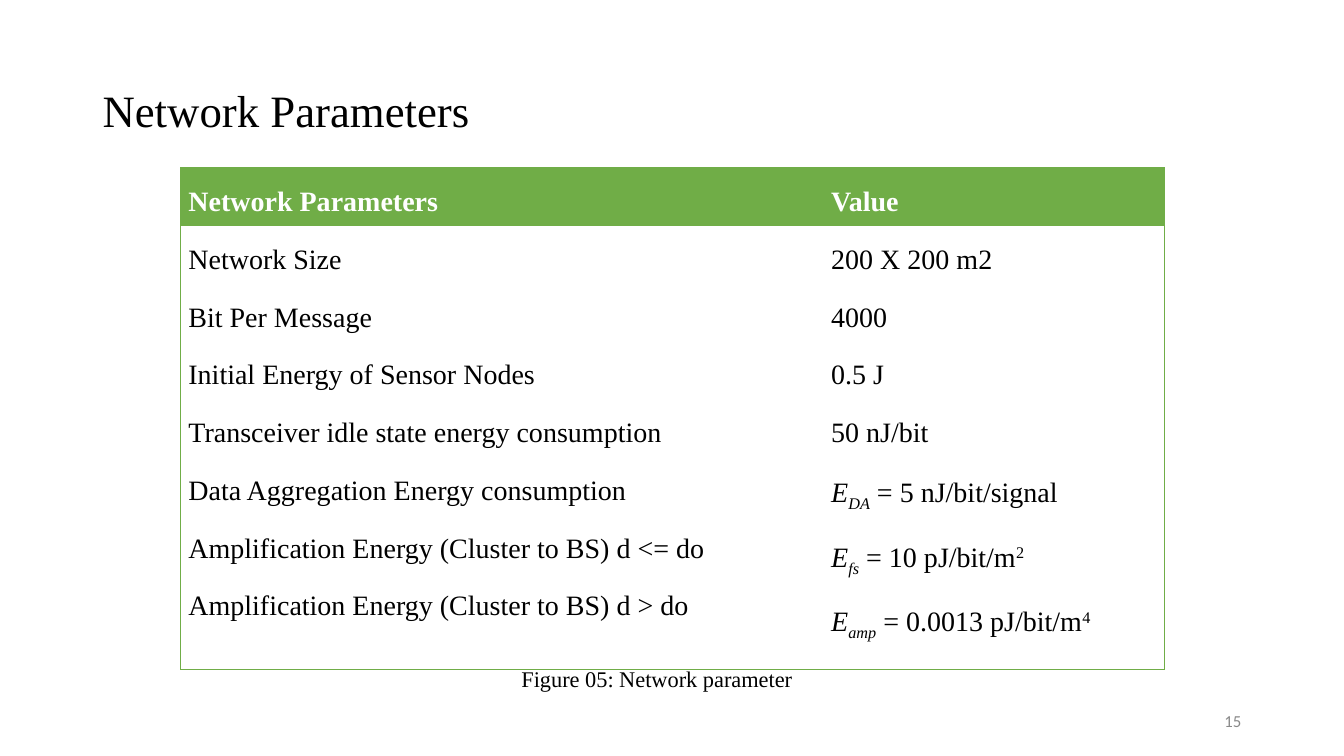
import pptx
import pptx.util
import pptx.dml.color
import pptx.enum.text
import lxml.etree

Inches = pptx.util.Inches
Pt = pptx.util.Pt
Color = pptx.dml.color.RGBColor
Align = pptx.enum.text.PP_ALIGN
Anchor = pptx.enum.text.MSO_ANCHOR

BLACK = Color(0x00, 0x00, 0x00)
WHITE = Color(0xFF, 0xFF, 0xFF)
GREEN = Color(0x70, 0xAD, 0x47)
GRAY = Color(0x89, 0x89, 0x89)
SERIF = "Times New Roman"
SUB, SUPER = -25000, 30000

HEADS = ["Network Parameters", "Value"]
PARAMS = [
    ("Network Size", ["200 X 200 m2"]),
    ("Bit Per Message", ["4000"]),
    ("Initial Energy of Sensor Nodes", ["0.5 J"]),
    ("Transceiver idle state energy consumption", ["50 nJ/bit"]),
    ("Data Aggregation Energy consumption", ["E", "DA", " = 5 nJ/bit/signal"]),
    ("Amplification Energy (Cluster to BS) d <= do",
     ["E", "fs", " = 10 pJ/bit/m", "2"]),
    ("Amplification Energy (Cluster to BS) d > do",
     ["E", "amp", " = 0.0013 pJ/bit/m", "4"]),
]


def style(run, size, color, face=SERIF, bold=False):
    """Set the font of a run."""
    font = run.font
    font.name, font.size, font.bold = face, Pt(size), bold
    font.color.rgb = color


def label(slide, box, text, size, color, face=SERIF, align=Align.LEFT,
          anchor=Anchor.MIDDLE, wrap=True):
    """Place one line of text in a box."""
    frame = slide.shapes.add_textbox(*map(Inches, box)).text_frame
    frame.word_wrap = wrap
    frame.vertical_anchor = anchor
    frame.text = text
    para = frame.paragraphs[0]
    para.alignment = align
    style(para.runs[0], size, color, face)
    return para


def edge(cell, sides):
    """Draw the named sides of a cell in green and clear the others."""
    props = cell._tc.get_or_add_tcPr()
    for place, side in enumerate("LRTB"):
        line = pptx.oxml.parse_xml(
            '<a:ln%s xmlns:a="http://schemas.openxmlformats.org/drawingml/'
            '2006/main" w="3175"/>' % side)
        space = "{%s}" % line.nsmap["a"]
        if side in sides:
            fill = lxml.etree.SubElement(line, space + "solidFill")
            lxml.etree.SubElement(fill, space + "srgbClr", val=str(GREEN))
        else:
            lxml.etree.SubElement(line, space + "noFill")
        props.insert(place, line)


def write(cell, lines, color, bold=False):
    """Write lines of runs, with symbols in italics and raised powers."""
    cell.margin_left = cell.margin_right = Inches(0.08)
    cell.margin_top, cell.margin_bottom = Inches(0.04), 0
    cell.vertical_anchor = Anchor.TOP
    frame = cell.text_frame
    for index, parts in enumerate(lines):
        para = frame.add_paragraph() if index else frame.paragraphs[0]
        para.line_spacing = 1.5
        para.space_after = Pt(8 if index < len(lines) - 1 else 0)
        for part, base in zip(parts, (0, SUB, 0, SUPER)):
            run = para.add_run()
            run.text = part
            style(run, 20, color, bold=bold)
            run.font.italic = base == SUB or part == "E"
            if base:
                run.font._element.set("baseline", str(base))


def grid(slide, box):
    """Place the table of parameters in a box."""
    table = slide.shapes.add_table(2, 2, *map(Inches, box)).table
    table.first_row = table.horz_banding = False
    for col, width in zip(table.columns, (6.38, box[2] - 6.38)):
        col.width = Inches(width)
    for row, height in zip(table.rows, (0.57, box[3] - 0.57)):
        row.height = Inches(height)
    bodies = [[[name] for name, _ in PARAMS], [parts for _, parts in PARAMS]]
    for col, (head, body) in enumerate(zip(HEADS, bodies)):
        top, main = table.cell(0, col), table.cell(1, col)
        top.fill.solid()
        top.fill.fore_color.rgb = GREEN
        main.fill.background()
        write(top, [[head]], WHITE, True)
        write(main, body, BLACK)
        for cell in (top, main):
            edge(cell, "TB" + "LR"[col])


def main():
    """Build the slide and save it."""
    deck = pptx.Presentation()
    deck.slide_width, deck.slide_height = Inches(13.34), Inches(7.5)
    slide = deck.slides.add_slide(deck.slide_layouts[6])
    title = label(slide, (0.92, 0.4, 11.5, 1.45), "Network Parameters", 32, BLACK)
    title.line_spacing = 0.9
    grid(slide, (1.79, 1.66, 9.76, 4.95))
    label(slide, (9.42, 6.95, 3, 0.4), "15", 12, GRAY, "Calibri", Align.RIGHT)
    label(slide, (5.05, 6.55, 2.94, 0.37), "Figure 05: Network parameter", 16,
          BLACK, align=Align.CENTER, anchor=Anchor.TOP, wrap=False)
    deck.save("out.pptx")


if __name__ == "__main__":
    main()
